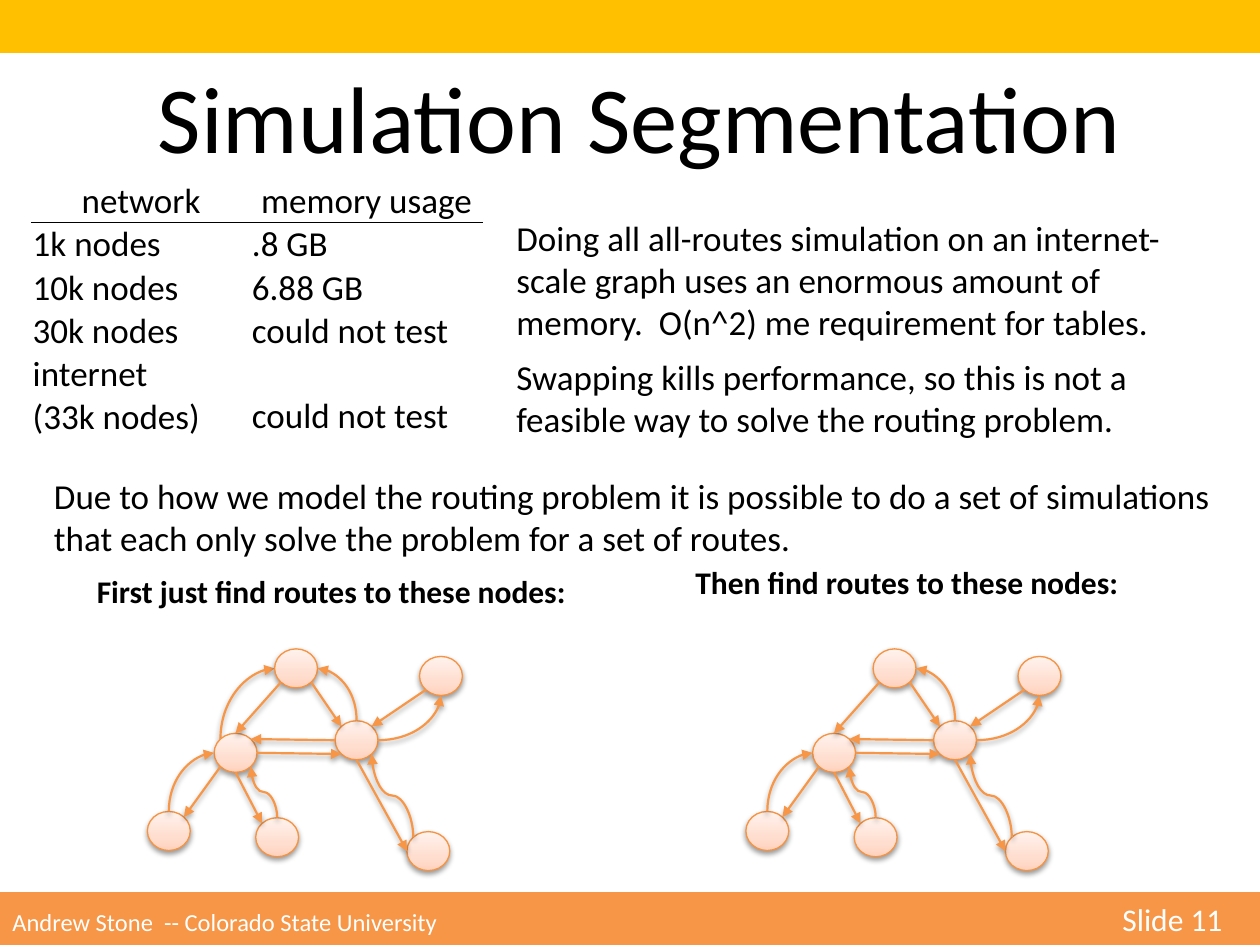
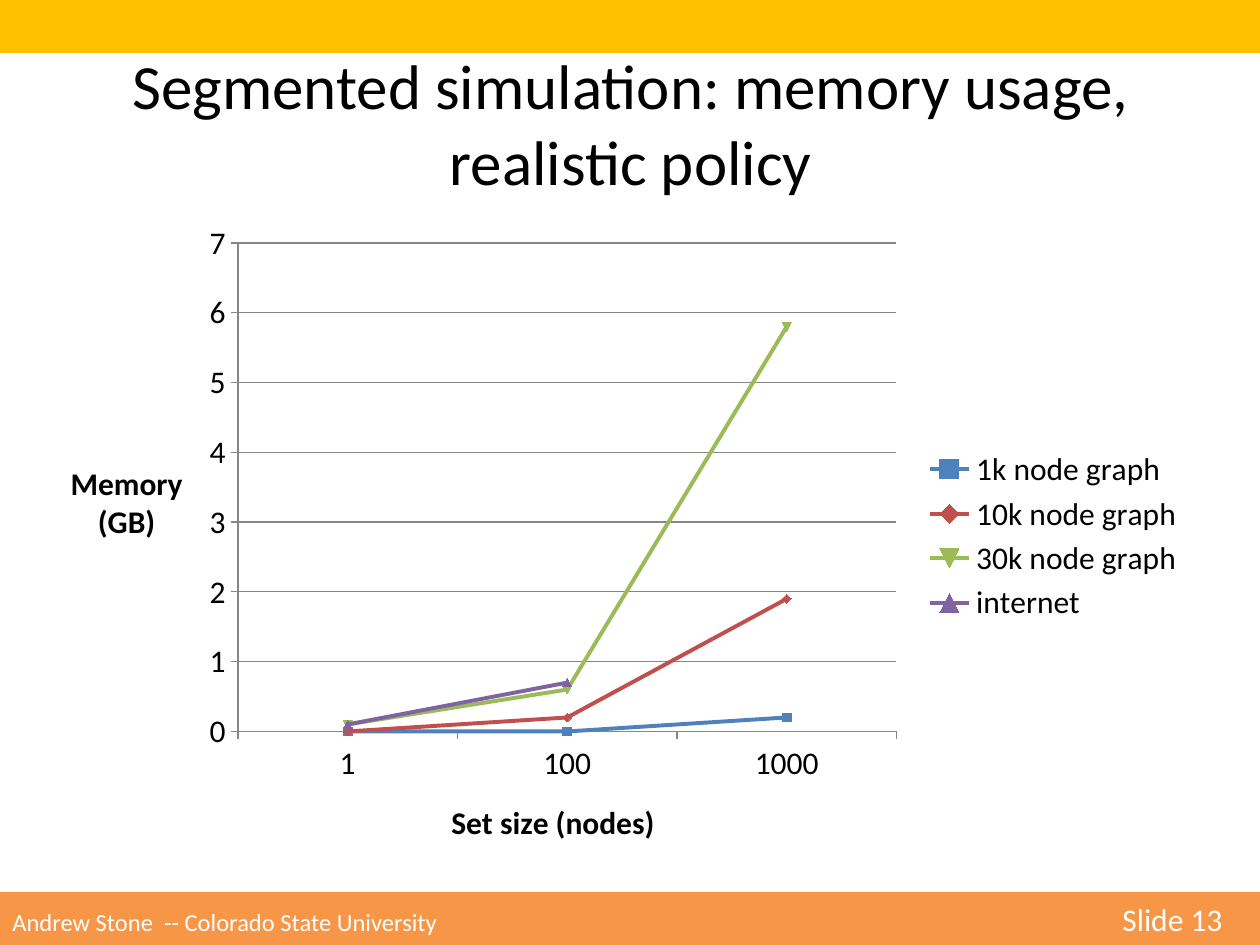
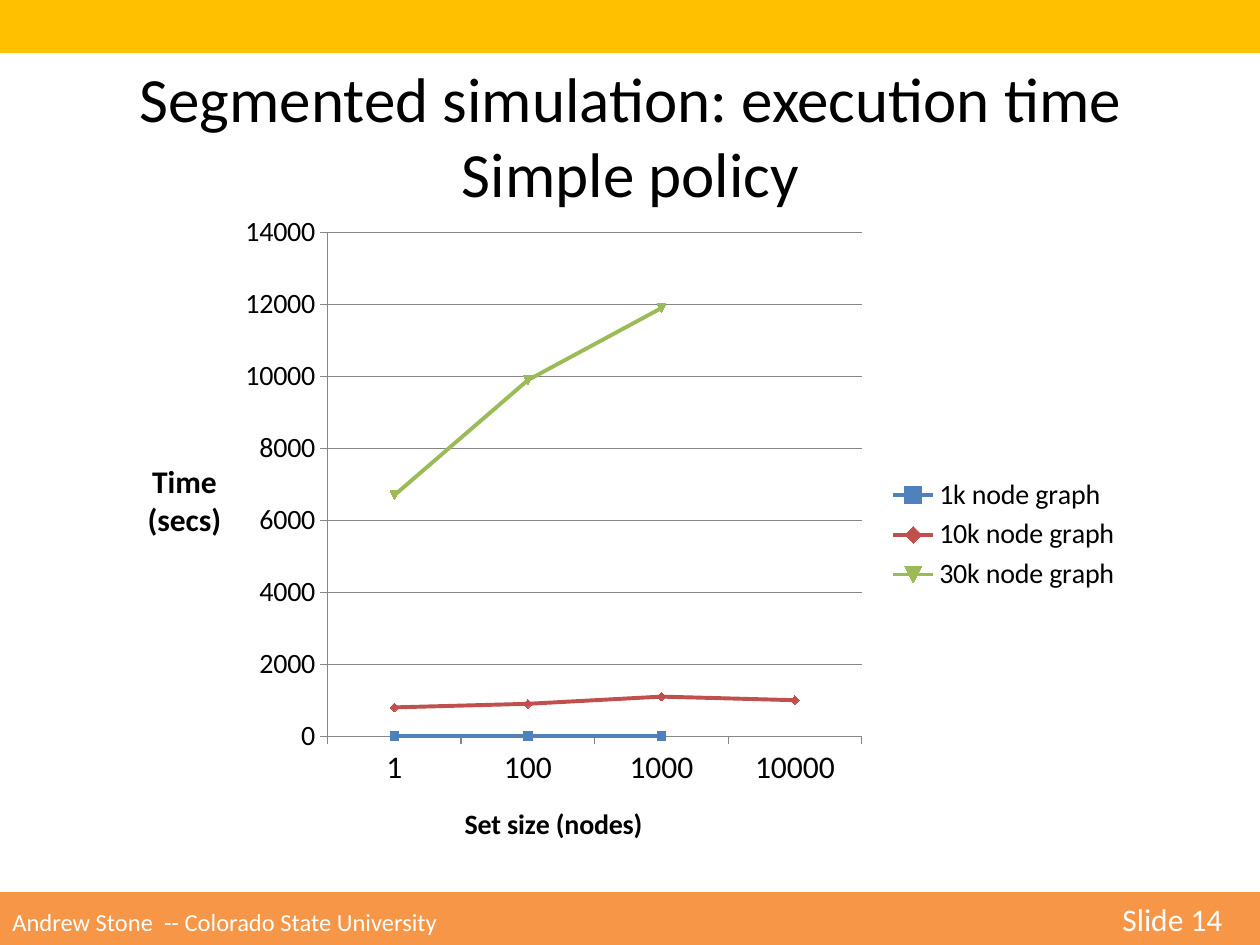
from math import cos, radians, sin

from lxml import etree
from pptx import Presentation
from pptx.chart.data import CategoryChartData
from pptx.dml.color import RGBColor
from pptx.enum.chart import XL_CHART_TYPE, XL_LEGEND_POSITION
from pptx.enum.shapes import MSO_CONNECTOR, MSO_SHAPE
from pptx.enum.text import MSO_ANCHOR, MSO_AUTO_SIZE, PP_ALIGN
from pptx.oxml.ns import qn
from pptx.util import Inches, Pt

LINE_MARKERS = XL_CHART_TYPE.LINE_MARKERS
LEGEND_RIGHT = XL_LEGEND_POSITION.RIGHT
STRAIGHT, CURVE = MSO_CONNECTOR.STRAIGHT, MSO_CONNECTOR.CURVE
RECTANGLE, OVAL = MSO_SHAPE.RECTANGLE, MSO_SHAPE.OVAL
TOP, MIDDLE, BOTTOM = MSO_ANCHOR.TOP, MSO_ANCHOR.MIDDLE, MSO_ANCHOR.BOTTOM
LEFT, CENTER = PP_ALIGN.LEFT, PP_ALIGN.CENTER
NO_AUTOFIT = MSO_AUTO_SIZE.NONE

FONT = "Calibri"
BLACK, WHITE, GOLD, ORANGE = "000000", "FFFFFF", "FFC000", "F79646"
NODE_LINE, AXIS_GRAY = "F69240", "868686"
NODE_GRADIENT = [(0, "FFD2BD"), (35, "FFDED0"), (100, "FFF2ED")]
SERIES_COLORS = ["4F81BD", "C0504D", "9BBB59", "8064A2"]

WIDTH, HEIGHT, BAND = 10, 7.5, 0.42
AUTHOR = "Andrew Stone  -- Colorado State University \t"

SEGMENTATION = {
    "title": "Simulation Segmentation", "number": 11,
    "title_box": (1.11, 0.42, 7.93, 1.01), "title_size": 54,
}
MEMORY_TABLE = [
    ("network", "memory usage"),
    ("1k nodes", ".8 GB"),
    ("10k nodes", "6.88 GB"),
    ("30k nodes", "could not test"),
    ("internet\n(33k nodes)", "could not test"),
]
COLUMN_WIDTHS = [1.74, 1.84]
ROW_HEIGHT = 0.34
TEXTS = [
    ((4, 1.67, 5.75, 1.88), 20, False,
     "Doing all all-routes simulation on an internet-scale graph uses an enormous "
     "amount of memory.  O(n^2) me requirement for tables.\n"
     "Swapping kills performance, so this is not a feasible way to solve the routing problem."),
    ((0.33, 3.72, 9.42, 1.11), 20, False,
     "Due to how we model the routing problem it is possible to do a set of simulations "
     "that each only solve the problem for a set of routes."),
    ((0.67, 4.49, 3.96, 0.4), 18, True, "First just find routes to these nodes:"),
    ((5.42, 4.42, 3.59, 0.4), 18, True, "Then find routes to these nodes:"),
]

GRAPH_STEP = 4.75
NODE_WIDTH, NODE_HEIGHT = 0.34, 0.31
NODES = {
    "top": (2.18, 5.15), "hub": (2.66, 5.72), "west": (1.7, 5.82),
    "south": (2.03, 6.49), "east": (3.33, 5.21),
    "southwest": (1.17, 6.44), "southeast": (3.23, 6.6),
}
SITE_ANGLES = {"E": 0, "SE": 45, "S": 90, "SW": 135, "W": 180, "NW": 225, "N": 270, "NE": 315}
FIRST_GRAPH_EDGE = ("west", "NW", "top", "W", "bend")
EDGES = [
    ("top", "SE", "hub", "NW", "straight"),
    ("hub", "N", "top", "E", "bend"),
    ("top", "SW", "west", "N", "straight"),
    ("hub", "E", "east", "S", "bend"),
    ("southeast", "NW", "hub", "SE", "wave"),
    ("west", "SW", "southwest", "NE", "straight"),
    ("west", "S", "south", "NW", "straight"),
    ("hub", "S", "southeast", "W", "straight"),
    ("east", "SW", "hub", "NE", "straight"),
    ("hub", "W", "west", "NE", "straight"),
    ("west", "E", "hub", "SW", "straight"),
    ("southwest", "N", "west", "W", "bend"),
    ("south", "N", "west", "SE", "wave"),
]

CHART_PAGES = [
    {
        "title": "Segmented simulation: memory usage,\nrealistic policy", "number": 13,
        "title_box": (0.17, 0.32, 9.67, 1.31), "title_size": 36,
        "chart_box": (0.33, 1.67, 9.17, 5.17), "plot_box": (0.17, 0.05, 0.57, 0.75),
        "value_title": "Memory\n(GB)", "maximum": 7, "unit": 1,
        "category_title_size": 18, "value_size": 18, "legend_size": 18,
        "categories": ["1", "100", "1000"],
        "series": [
            ("1k node graph", (0, 0, 0.2)),
            ("10k node graph", (0, 0.2, 1.9)),
            ("30k node graph", (0.1, 0.6, 5.8)),
            ("internet", (0.1, 0.7, None)),
        ],
    },
    {
        "title": "Segmented simulation: execution time\nSimple policy", "number": 14,
        "title_box": (0.17, 0.42, 9.67, 1.31), "title_size": 36,
        "chart_box": (1, 1.58, 8, 5.33), "plot_box": (0.2, 0.05, 0.53, 0.75),
        "value_title": "Time\n(secs)", "maximum": 14000, "unit": 2000,
        "category_title_size": 16, "value_size": 16, "legend_size": 16,
        "categories": ["1", "100", "1000", "10000"],
        "series": [
            ("1k node graph", (0, 0, 0, None)),
            ("10k node graph", (800, 900, 1100, 1000)),
            ("30k node graph", (6700, 9900, 11900, None)),
        ],
    },
]


def rgb(value):
    return RGBColor.from_string(value)


def inches(values):
    return [Inches(value) for value in values]


def add_child(parent, tag, **attributes):
    return etree.SubElement(parent, qn(tag), {key: str(value) for key, value in attributes.items()})


def style_font(font, size, color=BLACK, bold=False):
    font.name, font.size, font.bold = FONT, Pt(size), bold
    font.color.rgb = rgb(color)


def style_text(frame, size, align=LEFT, bold=False):
    for para in frame.paragraphs:
        para.alignment = align
        for span in para.runs:
            style_font(span.font, size, bold=bold)


def add_band(page, top, color):
    band = page.shapes.add_shape(RECTANGLE, *inches((0, top, WIDTH, BAND)))
    band.shadow.inherit = False
    band.fill.solid()
    band.fill.fore_color.rgb = rgb(color)
    band.line.fill.background()
    return band


def add_page(deck, content):
    page = deck.slides.add_slide(deck.slide_layouts[5])
    title = page.shapes.title
    title.left, title.top, title.width, title.height = inches(content["title_box"])
    frame = title.text_frame
    frame.text = content["title"]
    frame.auto_size, frame.vertical_anchor, frame.word_wrap = NO_AUTOFIT, TOP, True
    style_text(frame, content["title_size"], CENTER)
    for para in frame.paragraphs:
        for span in para.runs:
            outline = etree.Element(qn("a:ln"), w=str(Pt(1.45)))
            add_child(add_child(outline, "a:solidFill"), "a:srgbClr", val=WHITE)
            span.font._element.insert(0, outline)

    add_band(page, 0, GOLD)
    footer = add_band(page, HEIGHT - BAND, ORANGE).text_frame
    footer.vertical_anchor = MIDDLE
    para = footer.paragraphs[0]
    para.alignment = LEFT
    tabs = add_child(para._p.get_or_add_pPr(), "a:tabLst")
    add_child(tabs, "a:tab", pos=Inches(8.81), algn="l")
    for text, size in [(AUTHOR, 14), (f"Slide {content['number']}", 18)]:
        span = para.add_run()
        span.text = text
        style_font(span.font, size, WHITE)
    return page


def add_text(page, box, size, bold, text):
    frame = page.shapes.add_textbox(*inches(box)).text_frame
    frame.word_wrap = not bold
    frame.text = text
    style_text(frame, size, bold=bold)
    for para in frame.paragraphs[1:]:
        para.space_before = Pt(7.2)


def add_border(cell, tag):
    border = etree.Element(qn(tag), w=str(Pt(0.5)))
    add_child(add_child(border, "a:solidFill"), "a:srgbClr", val=BLACK)
    cell._tc.get_or_add_tcPr().insert(0, border)


def add_memory_table(page):
    heights = [ROW_HEIGHT * (row[0].count("\n") + 1) for row in MEMORY_TABLE]
    box = (0.25, 1.42, sum(COLUMN_WIDTHS), sum(heights))
    table = page.shapes.add_table(len(heights), len(COLUMN_WIDTHS), *inches(box)).table
    table.first_row = table.horz_banding = False
    for column, width in zip(table.columns, COLUMN_WIDTHS):
        column.width = Inches(width)
    for index, (texts, height) in enumerate(zip(MEMORY_TABLE, heights)):
        table.rows[index].height = Inches(height)
        for cell, text in zip(table.rows[index].cells, texts):
            cell.text = text
            cell.margin_left = cell.margin_right = cell.margin_top = Inches(0.01)
            cell.margin_bottom = 0
            cell.vertical_anchor = BOTTOM if index else MIDDLE
            cell.fill.background()
            style_text(cell.text_frame, 20, LEFT if index else CENTER)
            if index < 2:
                add_border(cell, "a:lnT" if index else "a:lnB")


def add_shadow(shape, opacity, distance):
    effects = add_child(shape._element.spPr, "a:effectLst")
    shadow = add_child(effects, "a:outerShdw", blurRad=Pt(3.1), dist=Pt(distance),
                       dir=90 * 60000, rotWithShape=0)
    color = add_child(shadow, "a:srgbClr", val=BLACK)
    add_child(color, "a:alpha", val=opacity * 1000)


def add_node(shapes, left, top):
    node = shapes.add_shape(OVAL, *inches((left, top, NODE_WIDTH, NODE_HEIGHT)))
    node.fill.gradient()
    node.fill.gradient_angle = 90
    stops = node._element.spPr.find(".//" + qn("a:gsLst"))
    for stop in list(stops):
        stops.remove(stop)
    for position, color in NODE_GRADIENT:
        add_child(add_child(stops, "a:gs", pos=position * 1000), "a:srgbClr", val=color)
    node.line.color.rgb = rgb(NODE_LINE)
    node.line.width = Pt(0.75)
    add_shadow(node, 38, 1.6)


def site_point(name, site, offset):
    left, top = NODES[name]
    angle = radians(SITE_ANGLES[site])
    return (offset + left + NODE_WIDTH / 2 * (1 + cos(angle)),
            top + NODE_HEIGHT / 2 * (1 + sin(angle)))


def turn_upward(connector, start, end):
    width, height = abs(end[0] - start[0]), abs(end[1] - start[1])
    middle_x, middle_y = (start[0] + end[0]) / 2, (start[1] + end[1]) / 2
    connector.left, connector.top, connector.width, connector.height = inches(
        (middle_x - height / 2, middle_y - width / 2, height, width))
    frame = connector._element.spPr.find(qn("a:xfrm"))
    frame.set("rot", str(270 * 60000))
    frame.set("flipH", "0")
    frame.set("flipV", "1" if end[0] < start[0] else "0")


def add_edge(shapes, edge, offset):
    source, source_site, target, target_site, kind = edge
    start = site_point(source, source_site, offset)
    end = site_point(target, target_site, offset)
    connector = shapes.add_connector(STRAIGHT if kind == "straight" else CURVE,
                                     *inches(start + end))
    if kind == "bend":
        connector._element.spPr.find(qn("a:prstGeom")).set("prst", "curvedConnector2")
    if kind != "straight" and source_site != "E":
        turn_upward(connector, start, end)
    connector.line.color.rgb = rgb(ORANGE)
    connector.line.width = Pt(1.25)
    add_child(connector.line._get_or_add_ln(), "a:tailEnd", type="triangle")
    add_shadow(connector, 35, 1.8)


def add_graph(page, offset):
    shapes = page.shapes.add_group_shape().shapes
    for left, top in NODES.values():
        add_node(shapes, left + offset, top)
    for edge in EDGES:
        add_edge(shapes, edge, offset)


def style_axis(axis, title, title_size, label_size):
    frame = axis.axis_title.text_frame
    frame.text = title
    style_text(frame, title_size, CENTER, True)
    frame._txBody.bodyPr.set("rot", "0")
    frame._txBody.bodyPr.set("vert", "horz")
    style_font(axis.tick_labels.font, label_size)
    axis.format.line.color.rgb = rgb(AXIS_GRAY)


def place_plot(chart, box):
    area = chart._chartSpace.chart.plotArea
    for layout in area.findall(qn("c:layout")):
        area.remove(layout)
    layout = etree.Element(qn("c:layout"))
    area.insert(0, layout)
    manual = add_child(layout, "c:manualLayout")
    add_child(manual, "c:layoutTarget", val="inner")
    for tag in ("c:xMode", "c:yMode"):
        add_child(manual, tag, val="edge")
    for tag, value in zip(("c:x", "c:y", "c:w", "c:h"), box):
        add_child(manual, tag, val=value)


def add_line_chart(page, content):
    data = CategoryChartData()
    data.categories = content["categories"]
    for name, values in content["series"]:
        data.add_series(name, values)
    chart = page.shapes.add_chart(LINE_MARKERS, *inches(content["chart_box"]), data).chart
    style_font(chart.font, 10)
    chart.has_title = False
    chart.has_legend = True
    chart.legend.position = LEGEND_RIGHT
    chart.legend.include_in_layout = False
    style_font(chart.legend.font, content["legend_size"])
    place_plot(chart, content["plot_box"])

    plot = chart.plots[0]
    plot.vary_by_categories = False
    for series, color in zip(plot.series, SERIES_COLORS):
        series.smooth = False
        series.format.line.color.rgb = rgb(color)
        series.format.line.width = Pt(2.25)
        series.marker.size = 5
        series.marker.format.fill.solid()
        series.marker.format.fill.fore_color.rgb = rgb(color)
        series.marker.format.line.color.rgb = rgb(color)

    style_axis(chart.category_axis, "Set size (nodes)", content["category_title_size"], 18)
    values = chart.value_axis
    style_axis(values, content["value_title"], 18, content["value_size"])
    values.minimum_scale, values.maximum_scale = 0, content["maximum"]
    values.major_unit = content["unit"]
    values.has_major_gridlines = True
    values.major_gridlines.format.line.color.rgb = rgb(AXIS_GRAY)


deck = Presentation()
deck.slide_width, deck.slide_height = inches((WIDTH, HEIGHT))

page = add_page(deck, SEGMENTATION)
for text in TEXTS:
    add_text(page, *text)
add_memory_table(page)
add_edge(page.shapes, FIRST_GRAPH_EDGE, 0)
for index in range(2):
    add_graph(page, index * GRAPH_STEP)

for content in CHART_PAGES:
    add_line_chart(add_page(deck, content), content)

deck.save("out.pptx")
